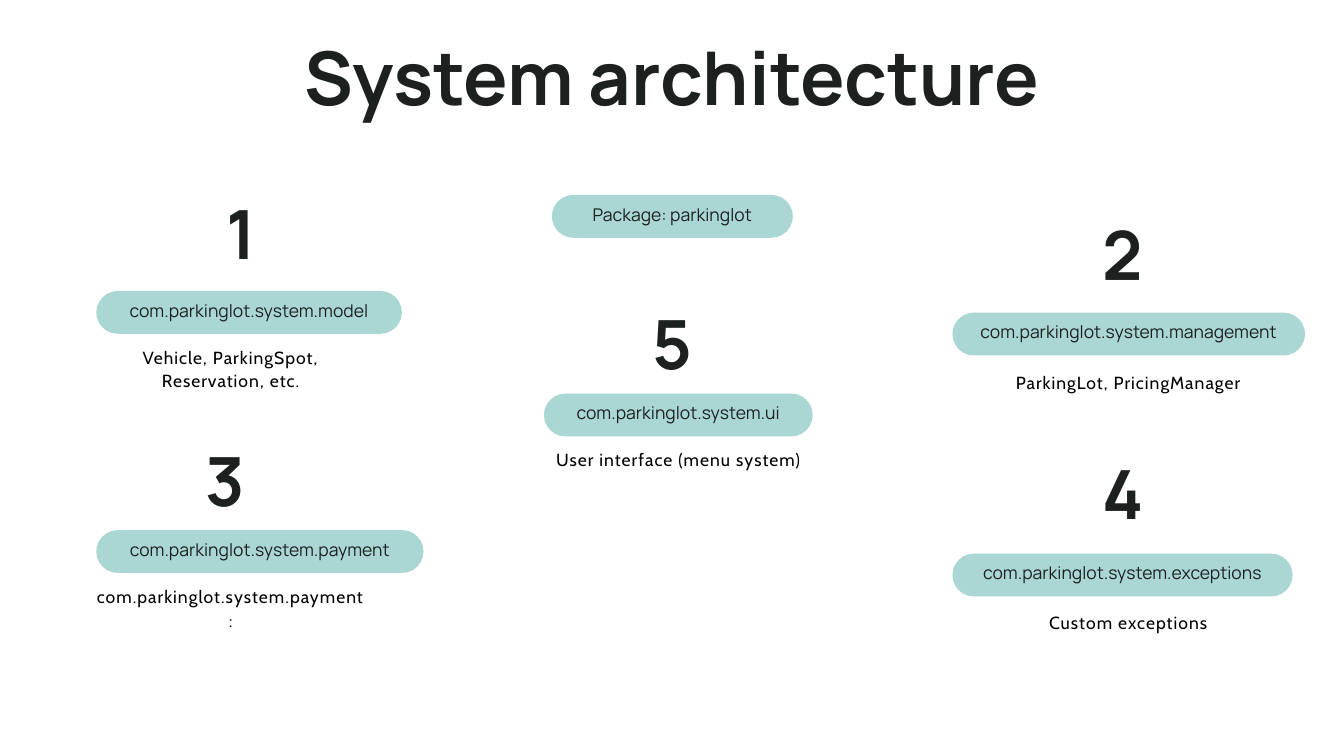
import pptx
import pptx.util
import pptx.dml.color
import pptx.enum.shapes
import pptx.enum.text

Cm = pptx.util.Cm
Pt = pptx.util.Pt
ALIGN = pptx.enum.text.PP_ALIGN

COLORS = {"ink": "1C2120", "note": "000000", "pill": "AAD7D4"}

# Text styles: font, size, line pitch, bold, color, tracking, alignment
STYLES = {
    "title": ("Manrope", 79.4, 90.5, True, "ink", 0, ALIGN.CENTER),
    "digit": ("Manrope", 72.7, 82.8, True, "ink", 0, ALIGN.LEFT),
    "label": ("Manrope", 18.8, 20.3, False, "ink", 0, ALIGN.CENTER),
    "note": ("Cabin", 18.8, 25.4, False, "note", 1.1, ALIGN.CENTER),
}

PILL_H = 1.62
INSET = 0.41

# Digit, its (x, y), package, pill (x, y, width), note, note (x, y)
PARTS = [
    ("1", (8.56, 7.39), "com.parkinglot.system.model", (3.64, 11, 11.55),
     "Vehicle, ParkingSpot, Reservation, etc.", (3.64, 13)),
    ("3", (7.75, 16.74), "com.parkinglot.system.payment", (3.64, 20.04, 12.37),
     "com.parkinglot.system.payment:", (3.64, 22.05)),
    ("2", (41.68, 8.2), "com.parkinglot.system.management", (36, 11.82, 13.33),
     "ParkingLot, PricingManager", (37.57, 13.97)),
    ("4", (41.68, 17.25), "com.parkinglot.system.exceptions", (36, 20.93, 12.86),
     "Custom exceptions", (37.57, 23.04)),
    ("5", (24.66, 11.58), "com.parkinglot.system.ui", (20.56, 14.88, 10.16),
     "User interface (menu system)", (20.56, 16.89)),
]


def rgb(name):
    return pptx.dml.color.RGBColor.from_string(COLORS[name])


def add_text(slide, text, style, x, y, w, h):
    font, size, pitch, bold, color, track, align = STYLES[style]
    box = slide.shapes.add_textbox(Cm(x), Cm(y), Cm(w), Cm(h))
    frame = box.text_frame
    frame.word_wrap = True
    frame.margin_left = frame.margin_right = 0
    frame.margin_top = frame.margin_bottom = 0
    para = frame.paragraphs[0]
    para.alignment = align
    para.line_spacing = Pt(pitch)
    run = para.add_run()
    run.text = text
    run.font.name = font
    run.font.size = Pt(size)
    run.font.bold = bold
    run.font.color.rgb = rgb(color)
    if track:
        run.font._element.set("spc", str(round(track * 100)))


def add_pill(slide, text, x, y, w):
    kind = pptx.enum.shapes.MSO_SHAPE.ROUNDED_RECTANGLE
    pill = slide.shapes.add_shape(kind, Cm(x), Cm(y), Cm(w), Cm(PILL_H))
    pill.adjustments[0] = 0.5
    pill.shadow.inherit = False
    pill.fill.solid()
    pill.fill.fore_color.rgb = rgb("pill")
    pill.line.fill.background()
    add_text(slide, text, "label", x + INSET, y + INSET, w - 2 * INSET, 0.8)


def add_part(slide, digit, spot, name, pill, note, place):
    add_text(slide, digit, "digit", *spot, 6.05, 3.12)
    add_pill(slide, name, *pill)
    add_text(slide, note, "note", *place, 10.16, 2)


def main():
    deck = pptx.Presentation()
    deck.slide_width, deck.slide_height = Cm(50.8), Cm(28.58)
    slide = deck.slides.add_slide(deck.slide_layouts[6])

    # Title and root package
    add_text(slide, "System architecture", "title", 9.22, 1.37, 32.36, 3.43)
    add_pill(slide, "Package: parkinglot", 20.86, 7.37, 9.11)

    # Numbered packages
    for part in PARTS:
        add_part(slide, *part)

    deck.save("out.pptx")


if __name__ == "__main__":
    main()
